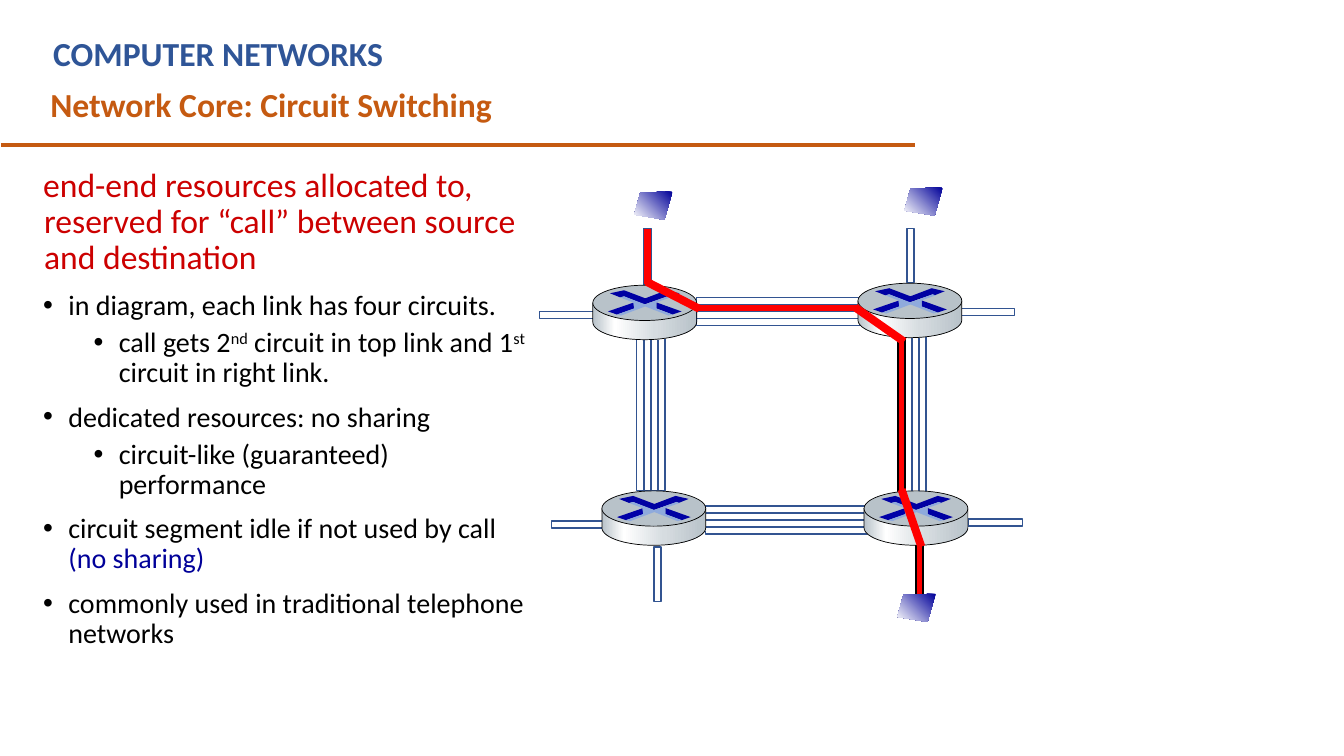
import math
from copy import deepcopy
from dataclasses import dataclass
from typing import Optional

from lxml import etree
from pptx import Presentation
from pptx.dml.color import RGBColor
from pptx.dml.fill import FillFormat
from pptx.enum.shapes import MSO_CONNECTOR, MSO_SHAPE
from pptx.oxml.ns import qn
from pptx.shapes.autoshape import Shape
from pptx.text.text import TextFrame
from pptx.util import Emu, Pt

PX = 9144
RECTANGLE = MSO_SHAPE.RECTANGLE
OVAL = MSO_SHAPE.OVAL
STRAIGHT = MSO_CONNECTOR.STRAIGHT

COLORS = {
    "course": "2F5597", "topic": "C55A11", "lead": "CC0000", "text": "000000",
    "note": "000099", "link": "325491", "circuit": "FF0000", "black": "000000",
    "white": "FFFFFF", "steel": "B8C2C9", "silver": "D6DCE0",
    "arrow": "0000A3", "left arrow": "0000A8", "arrow side": "8FAADC",
}

Point = tuple[float, float]
Stops = list[tuple[float, str]]


@dataclass(frozen=True)
class Bar:
    left: int
    top: int
    width: int
    height: int = 7
    rotation: float = 0
    fill: Optional[str] = None
    line: Optional[str] = "link"


@dataclass(frozen=True)
class Trunk:
    left: int
    top: int
    length: int
    step: Point
    rotation: int = 0
    call_circuit: Optional[int] = None
    call_line: str = "link"


@dataclass(frozen=True)
class Words:
    text: str
    color: str = "text"
    raised: bool = False


@dataclass(frozen=True)
class Entry:
    words: list[Words]
    margin: int
    hanging: int
    before: int
    size: int = 20
    level: int = 0
    bullet: bool = True


def point(text: str, *more: Words) -> Entry:
    return Entry([Words(text), *more], 25, 25, 10)


def subpoint(*words: Words) -> Entry:
    return Entry(list(words), 75, 25, 5, level=1)


ENTRIES = [
    Entry([Words("end-end resources allocated to, reserved for “call” between source and destination", "lead")],
          1, 1, 0, size=24, bullet=False),
    point("in diagram, each link has four circuits."),
    subpoint(Words("call gets 2"), Words("nd", raised=True),
             Words(" circuit in top link and 1"), Words("st", raised=True),
             Words(" circuit in right link.")),
    point("dedicated resources: no sharing"),
    subpoint(Words("circuit-like (guaranteed) performance")),
    point("circuit segment idle if not used by call ", Words("(no sharing)", "note")),
    point("commonly used in traditional telephone networks"),
]

TRUNKS = [
    Trunk(691, 295, 164, (0, 7), call_circuit=1),
    Trunk(577, 404, 158, (-7, 0), 90),
    Trunk(700, 502, 162, (0, 7)),
    Trunk(836, 405, 158, (-7, 0), 90, 3, "black"),
]
ACCESS_LINKS = [
    Bar(547, 517, 54),
    Bar(614, 251, 56, 8, 90, "circuit"),
    Bar(625, 566, 54, rotation=90),
    Bar(885, 563, 54, rotation=90, fill="circuit", line="black"),
    Bar(960, 515, 54),
    Bar(535, 309, 54),
    Bar(952, 306, 54),
    Bar(876, 250, 54, rotation=90),
]
CALL_HOPS = [
    Bar(638, 289, 59, 8, 27.2, "circuit", None),
    Bar(843, 318, 59, 8, 35, "circuit", None),
    Bar(874, 510, 60, 8, 70.9, "circuit", None),
]
HOSTS = [(897, 186), (890, 589), (629, 190)]
HOST_OUTLINE = [(38, 0), (6, 1), (0, 23), (30, 28)]
HOST_STOPS = [(0, "note"), (1, "white")]

ROUTERS = [(588, 283), (597, 487), (857, 487), (851, 281)]
ROUTER_WIDTH, ROUTER_LID, ROUTER_DEPTH = 103, 35, 19
ROUTER_STOPS = [(0, "steel"), (0.21, "white"), (0.6, "silver"), (1, "steel")]
ROUTER_ARROWS = {
    "arrow": [
        [(73, 5), (86, 8), (76, 12), (74, 11), (51, 19), (31, 11), (27, 12), (17, 8), (31, 5), (52, 13)],
        [(63, 17), (88, 26), (79, 29), (63, 23)],
    ],
    "left arrow": [[(41, 17), (41, 23), (24, 29), (15, 26)]],
    "arrow side": [
        [(27, 12), (31, 11), (52, 19), (74, 11), (77, 12), (63, 17), (63, 23), (79, 29),
         (75, 30), (52, 21), (28, 30), (24, 29), (41, 23), (40, 17)],
    ],
}

deck = Presentation()
deck.slide_width, deck.slide_height = Emu(1333 * PX), Emu(750 * PX)
slide = deck.slides.add_slide(deck.slide_layouts[6])


def rgb(name: str) -> RGBColor:
    return RGBColor.from_string(COLORS[name])


def paint(shape: Shape, fill: Optional[str], line: Optional[str], weight: float = 1) -> None:
    shape.shadow.inherit = False
    for part, color in ((shape.fill, fill), (shape.line.fill, line)):
        if color:
            part.solid()
            part.fore_color.rgb = rgb(color)
        else:
            part.background()
    if line:
        shape.line.width = Pt(weight)


def shade(shape: Shape, stops: Stops, angle: int) -> None:
    fill: FillFormat = shape.fill
    fill.gradient()
    fill.gradient_angle = angle
    stop_list = shape._element.spPr.find(".//" + qn("a:gsLst"))
    for _ in stops[2:]:
        stop_list.append(deepcopy(stop_list[0]))
    for stop, (position, color) in zip(fill.gradient_stops, stops):
        stop.position = position
        stop.color.rgb = rgb(color)


def draw_bar(bar: Bar) -> None:
    box = (Emu(n * PX) for n in (bar.left, bar.top, bar.width, bar.height))
    shape = slide.shapes.add_shape(RECTANGLE, *box)
    shape.rotation = bar.rotation
    paint(shape, bar.fill, bar.line)


def draw_trunk(trunk: Trunk) -> None:
    for circuit in range(4):
        in_call = circuit == trunk.call_circuit
        draw_bar(Bar(trunk.left + circuit * trunk.step[0], trunk.top + circuit * trunk.step[1],
                     trunk.length, rotation=trunk.rotation,
                     fill="circuit" if in_call else None,
                     line=trunk.call_line if in_call else "link"))


def draw_outline(origin: Point, outline: list[Point]) -> Shape:
    corners = [((origin[0] + x) * PX, (origin[1] + y) * PX) for x, y in outline]
    builder = slide.shapes.build_freeform(*corners[0])
    builder.add_line_segments(corners[1:], close=True)
    return builder.convert_to_shape()


def draw_host(origin: Point) -> None:
    host = draw_outline(origin, HOST_OUTLINE)
    paint(host, None, None)
    shade(host, HOST_STOPS, 225)


def draw_router(origin: Point) -> None:
    across, down = ROUTER_WIDTH / 2, ROUTER_LID / 2
    rim = [(across + across * math.cos(turn), down + ROUTER_DEPTH + down * math.sin(turn))
           for turn in (math.radians(degrees) for degrees in range(0, 181, 6))]
    body = draw_outline(origin, [(ROUTER_WIDTH, down), *rim, (0, down)])
    paint(body, None, "black", 0.5)
    shade(body, ROUTER_STOPS, 0)
    lid = slide.shapes.add_shape(OVAL, *(Emu(n * PX) for n in (*origin, ROUTER_WIDTH, ROUTER_LID)))
    paint(lid, "steel", "black", 0.5)
    for color, outlines in ROUTER_ARROWS.items():
        for outline in outlines:
            paint(draw_outline(origin, outline), color, None)


def add_text(left: int, top: int, width: int, height: int, entries: list[Entry],
             bold: bool = False, spacing: float = 1) -> None:
    frame: TextFrame = slide.shapes.add_textbox(*(Emu(n * PX) for n in (left, top, width, height))).text_frame
    frame.word_wrap = True
    for index, entry in enumerate(entries):
        paragraph = frame.add_paragraph() if index else frame.paragraphs[0]
        properties = paragraph._p.get_or_add_pPr()
        properties.set("marL", str(entry.margin * PX))
        properties.set("indent", str(-entry.hanging * PX))
        if entry.bullet:
            etree.SubElement(properties, qn("a:buFont")).set("typeface", "Arial")
            etree.SubElement(properties, qn("a:buChar")).set("char", "•")
        layout = {"level": entry.level, "line_spacing": spacing, "space_before": Pt(entry.before)}
        for name, value in layout.items():
            setattr(paragraph, name, value)
        for words in entry.words:
            run = paragraph.add_run()
            run.text = words.text
            for name, value in {"name": "Calibri", "size": Pt(entry.size), "bold": bold}.items():
                setattr(run.font, name, value)
            run.font.color.rgb = rgb(words.color)
            if words.raised:
                run._r.get_or_add_rPr().set("baseline", "30000")


def add_heading(left: int, top: int, width: int, text: str, color: str) -> None:
    add_text(left, top, width, 50, [Entry([Words(text, color)], 0, 0, 0, 24, bullet=False)], bold=True)


def main() -> None:
    rule = slide.shapes.add_connector(STRAIGHT, *(Emu(n * PX) for n in (1, 144, 908, 144)))
    rule.line.color.rgb = rgb("topic")
    rule.line.width = Pt(3)
    etree.SubElement(rule._element.spPr, qn("a:effectLst"))
    add_heading(43, 28, 820, "COMPUTER NETWORKS", "course")
    add_heading(40, 78, 875, "Network Core: Circuit Switching", "topic")
    add_text(33, 162, 500, 581, ENTRIES, spacing=0.9)
    for draw, items in ((draw_trunk, TRUNKS), (draw_bar, ACCESS_LINKS), (draw_host, HOSTS),
                        (draw_router, ROUTERS), (draw_bar, CALL_HOPS)):
        for item in items:
            draw(item)
    deck.save("out.pptx")


if __name__ == "__main__":
    main()
